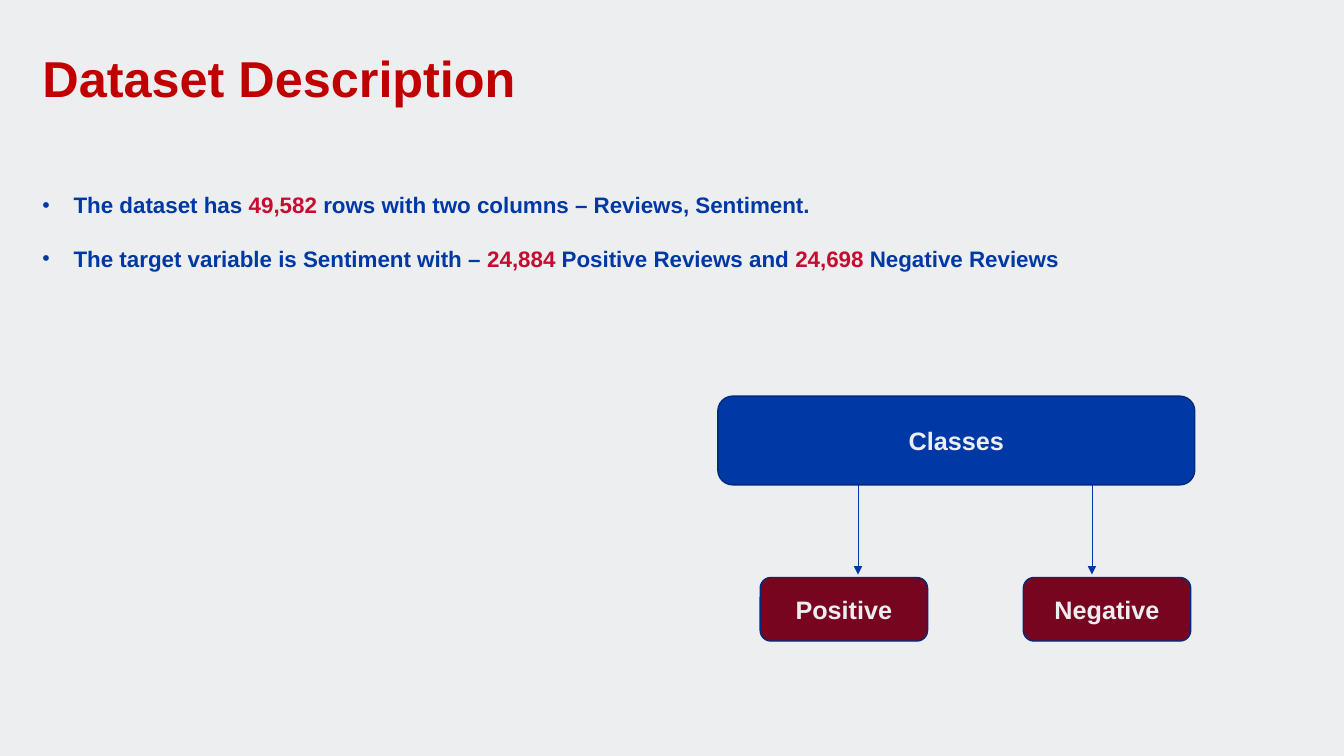
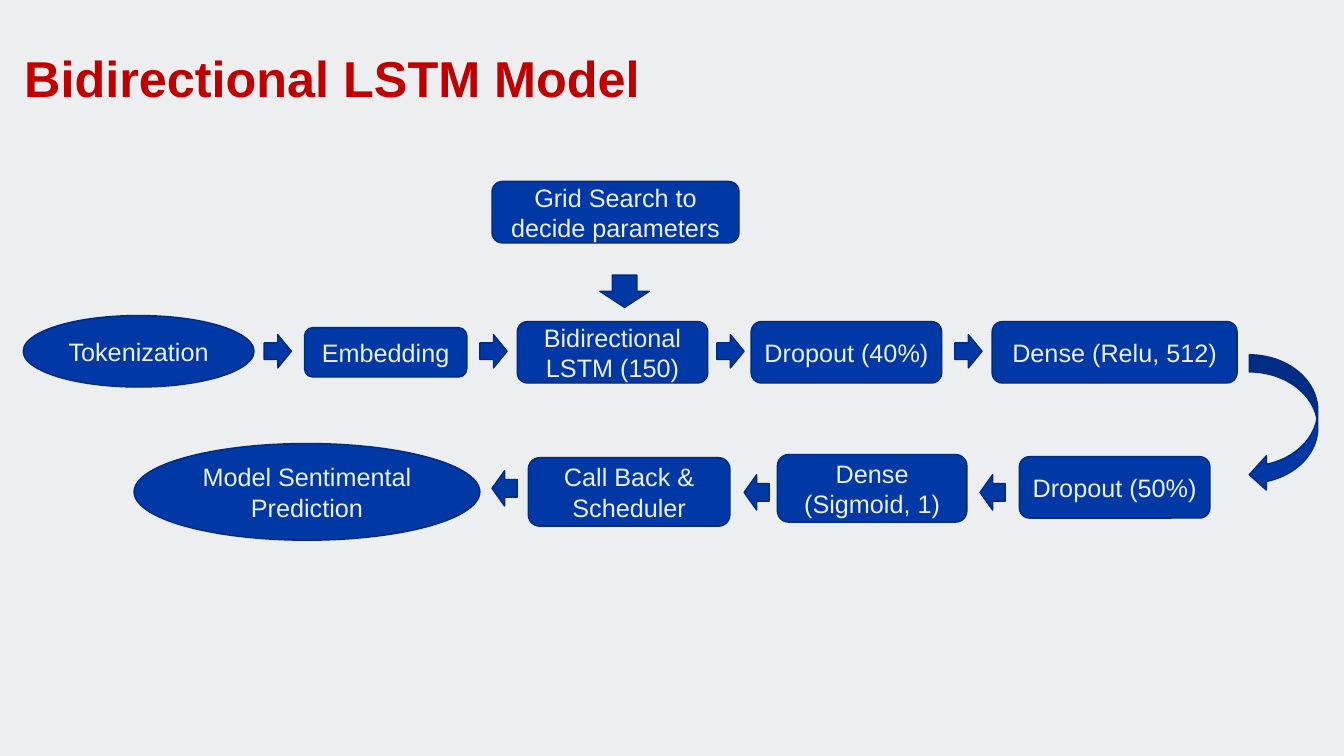
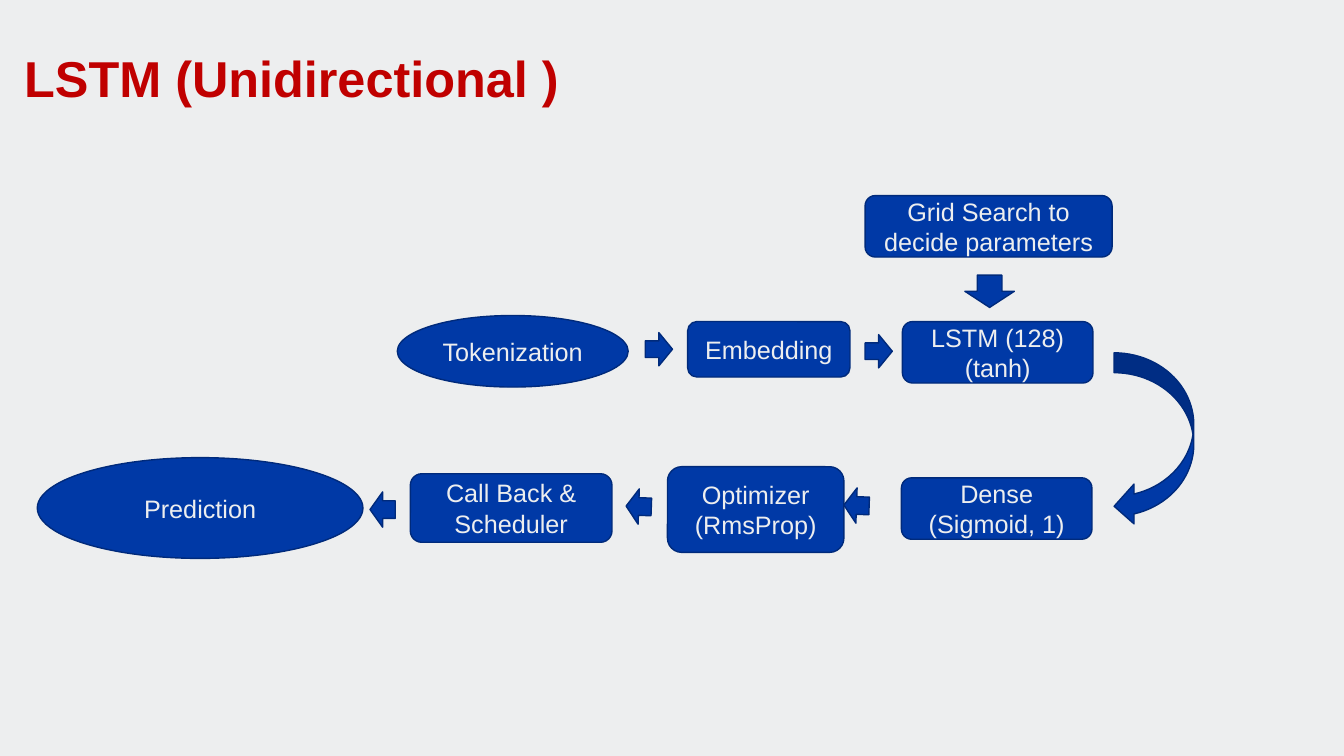
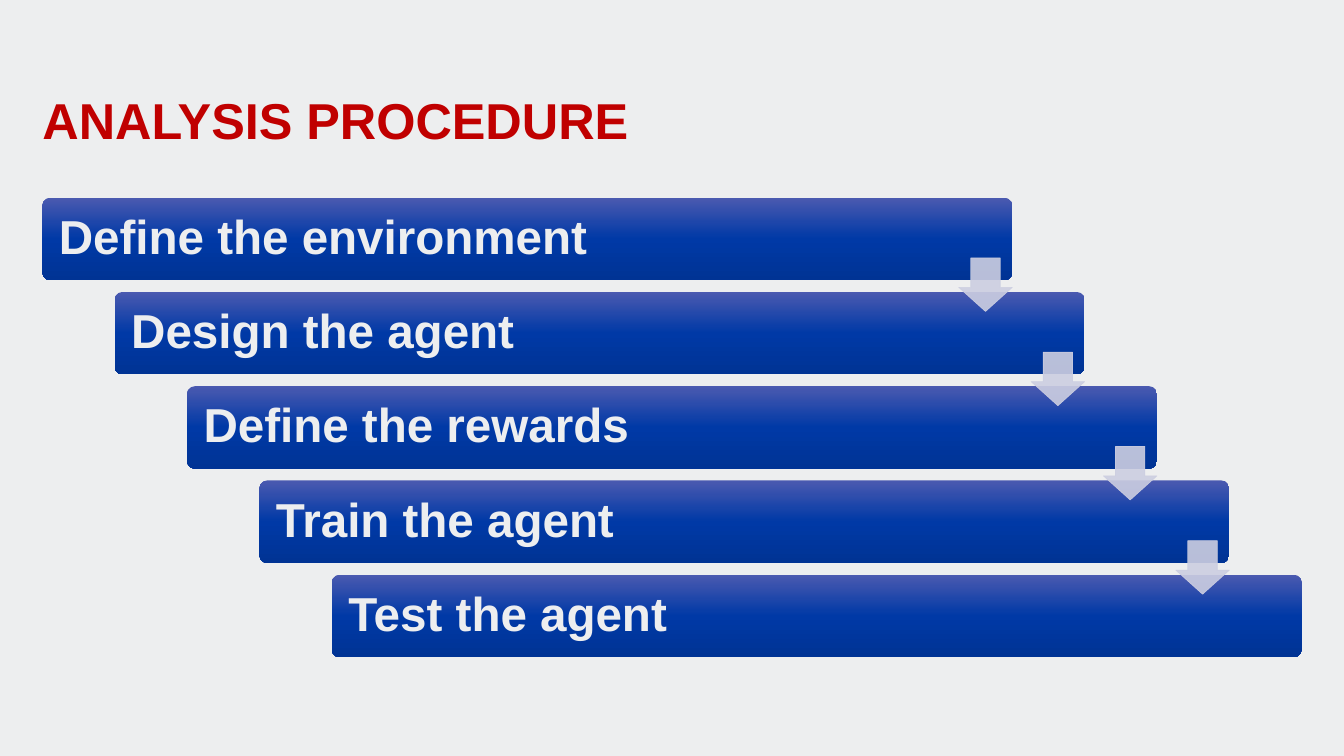
from dataclasses import dataclass
from typing import NamedTuple

from lxml.etree import SubElement
from pptx import Presentation
from pptx.dml.color import RGBColor
from pptx.enum.shapes import MSO_CONNECTOR, MSO_SHAPE as Preset
from pptx.enum.text import MSO_ANCHOR as Anchor, MSO_AUTO_SIZE as AutoSize, PP_ALIGN as Align
from pptx.oxml import parse_xml
from pptx.oxml.ns import nsdecls, qn
from pptx.util import Inches, Pt

# Shared style
FONT = "Arial"
PAPER = RGBColor(0xED, 0xEE, 0xEF)
BLUE = RGBColor(0x00, 0x39, 0xA6)
NAVY = RGBColor(0x00, 0x2A, 0x7B)
MAROON = RGBColor(0x77, 0x05, 0x20)
CRIMSON = RGBColor(0xC6, 0x0C, 0x30)
TITLE_RED = RGBColor(0xC0, 0x00, 0x00)
BAR_TOP = RGBColor(0x4B, 0x5A, 0xB0)
BAR_BOTTOM = RGBColor(0x00, 0x33, 0x94)
LILAC = RGBColor(0xCC, 0xCE, 0xE1)

TITLE_AND_BODY, TITLE_ONLY = 1, 5
ARROW_SIZE = {
    Preset.RIGHT_ARROW: (0.27, 0.33),
    Preset.LEFT_ARROW: (0.25, 0.35),
    Preset.DOWN_ARROW: (0.49, 0.32),
}


class Box(NamedTuple):
    left: float
    top: float
    width: float
    height: float


@dataclass(frozen=True)
class Step:
    text: str
    box: Box
    preset: Preset = Preset.ROUNDED_RECTANGLE
    fill: RGBColor = BLUE
    bold: bool = False


@dataclass(frozen=True)
class Arrow:
    preset: Preset
    left: float
    top: float
    rotation: float = 0


class Span(NamedTuple):
    text: str
    color: RGBColor = BLUE


def apply(target, formats: dict) -> None:
    for name, value in formats.items():
        setattr(target, name, value)


def style_font(font, size: float, color: RGBColor, bold: bool = False) -> None:
    apply(font, {"name": FONT, "size": Pt(size), "bold": bold})
    font.color.rgb = color


def place(shape, box: Box) -> None:
    apply(shape, {side: Inches(value) for side, value in box._asdict().items()})


def set_frame(frame, anchor: Anchor, side: float = 0, edge: float = 0) -> None:
    apply(frame, {
        "word_wrap": True, "auto_size": AutoSize.NONE, "vertical_anchor": anchor,
        "margin_left": Inches(side), "margin_right": Inches(side),
        "margin_top": Inches(edge), "margin_bottom": Inches(edge),
    })


def add_titled_slide(prs, layout: int, title: str, left: float = 0.24, top: float = 0.53):
    slide = prs.slides.add_slide(prs.slide_layouts[layout])
    heading = slide.shapes.title
    place(heading, Box(left, top, 12.92 - left, 0.55))
    set_frame(heading.text_frame, Anchor.BOTTOM)
    heading.text_frame.text = title
    line = heading.text_frame.paragraphs[0]
    apply(line, {"alignment": Align.LEFT, "line_spacing": 0.9})
    style_font(line.runs[0].font, 36, TITLE_RED, True)
    return slide


def add_preset(slide, preset: Preset, box: Box, fill: RGBColor = BLUE):
    shape = slide.shapes.add_shape(preset, *map(Inches, box))
    shape.shadow.inherit = False
    shape.fill.solid()
    shape.fill.fore_color.rgb = fill
    shape.line.color.rgb = NAVY
    shape.line.width = Pt(1)
    return shape


def add_step(slide, step: Step) -> None:
    shape = add_preset(slide, step.preset, step.box, step.fill)
    set_frame(shape.text_frame, Anchor.MIDDLE, 0.05, 0.05)
    shape.text_frame.text = step.text
    for line in shape.text_frame.paragraphs:
        line.alignment = Align.CENTER
        style_font(line.runs[0].font, 18, PAPER, step.bold)


def add_arrow(slide, arrow: Arrow) -> None:
    box = Box(arrow.left, arrow.top, *ARROW_SIZE[arrow.preset])
    add_preset(slide, arrow.preset, box).rotation = arrow.rotation


def add_flow(prs, title: str, steps: list[Step], arrows: list[Arrow], turn: Box) -> None:
    """A two-row flow whose rows are joined by a curved arrow on the right."""
    slide = add_titled_slide(prs, TITLE_ONLY, title)
    for arrow in arrows:
        add_arrow(slide, arrow)
    add_preset(slide, Preset.CURVED_LEFT_ARROW, turn)
    for step in steps:
        add_step(slide, step)


def add_bullet(line, spans: list[Span]) -> None:
    props = line._p.get_or_add_pPr()
    props.set("marL", str(Inches(0.31)))
    props.set("indent", str(-Inches(0.31)))
    for tag, name, value in (("a:buSzPct", "val", "95000"),
                             ("a:buFont", "typeface", FONT),
                             ("a:buChar", "char", "•")):
        SubElement(props, qn(tag)).set(name, value)
    for span in spans:
        run = line.add_run()
        run.text = span.text
        style_font(run.font, 16, span.color, True)


def add_branch(slide, x: float, top: float, bottom: float) -> None:
    branch = slide.shapes.add_connector(
        MSO_CONNECTOR.STRAIGHT, *map(Inches, (x, top, x, bottom)))
    branch.line.color.rgb = BLUE
    branch.line.width = Pt(0.5)
    SubElement(branch.line._get_or_add_ln(), qn("a:tailEnd")).set("type", "triangle")
    SubElement(branch._element.spPr, qn("a:effectLst"))


def set_gradient(shape, colors: tuple[RGBColor, ...]) -> None:
    gap = 100000 // (len(colors) - 1)
    stops = "".join(f'<a:gs pos="{i * gap}"><a:srgbClr val="{color}"/></a:gs>'
                    for i, color in enumerate(colors))
    solid = shape._element.spPr.find(qn("a:solidFill"))
    solid.getparent().replace(solid, parse_xml(
        f'<a:gradFill {nsdecls("a")} rotWithShape="1"><a:gsLst>{stops}</a:gsLst>'
        '<a:lin ang="5400000" scaled="0"/></a:gradFill>'))


def build_dataset(prs) -> None:
    slide = add_titled_slide(prs, TITLE_AND_BODY, "Dataset Description", left=0.42)
    facts = slide.placeholders[1]
    place(facts, Box(0.42, 1.9, 11.45, 1.5))
    set_frame(facts.text_frame, Anchor.TOP)
    rows, classes = facts.text_frame.paragraphs[0], facts.text_frame.add_paragraph()
    add_bullet(rows, [
        Span("The dataset has"), Span(" 49,582 ", CRIMSON),
        Span("rows with two columns – Reviews, Sentiment."),
    ])
    add_bullet(classes, [
        Span("The target variable is Sentiment with – "), Span("24,884", CRIMSON),
        Span(" Positive Reviews and "), Span("24,698", CRIMSON),
        Span(" Negative Reviews"),
    ])
    rows.space_before, classes.space_before = Pt(0), Pt(19)

    # Class tree
    for x in (8.51, 10.83):
        add_branch(slide, x, 4.81, 5.7)
    add_step(slide, Step("Classes", Box(7.12, 3.93, 4.73, 0.88), bold=True))
    for label, left in (("Positive", 7.54), ("Negative", 10.15)):
        add_step(slide, Step(label, Box(left, 5.73, 1.66, 0.63), fill=MAROON, bold=True))


def build_bidirectional(prs) -> None:
    steps = [
        Step("Grid Search to decide parameters", Box(4.88, 1.8, 2.45, 0.61)),
        Step("Tokenization", Box(0.23, 3.13, 2.29, 0.71), Preset.OVAL),
        Step("Embedding", Box(3.02, 3.25, 1.61, 0.49)),
        Step("Bidirectional LSTM (150)", Box(5.13, 3.19, 1.89, 0.61)),
        Step("Dropout (40%)", Box(7.45, 3.19, 1.89, 0.61)),
        Step("Dense (Relu, 512)", Box(9.84, 3.19, 2.43, 0.61)),
        Step("Dropout (50%)", Box(10.11, 4.53, 1.89, 0.61)),
        Step("Dense (Sigmoid, 1)", Box(7.71, 4.51, 1.88, 0.67)),
        Step("Call Back & Scheduler", Box(5.24, 4.54, 2, 0.68)),
        Step("Model Sentimental Prediction", Box(1.33, 4.4, 3.43, 0.96), Preset.OVAL),
    ]
    arrows = [Arrow(Preset.DOWN_ARROW, 5.95, 2.73)]
    arrows += [Arrow(Preset.RIGHT_ARROW, x, 3.32) for x in (2.62, 4.76, 7.11, 9.47)]
    arrows += [Arrow(Preset.LEFT_ARROW, x, y)
               for x, y in ((9.72, 4.71), (7.38, 4.71), (4.88, 4.67))]
    add_flow(prs, "Bidirectional LSTM Model", steps, arrows, Box(12.39, 3.52, 0.68, 1.36))


def build_unidirectional(prs) -> None:
    steps = [
        Step("Grid Search to decide parameters", Box(8.58, 1.94, 2.45, 0.61)),
        Step("Tokenization", Box(3.94, 3.13, 2.29, 0.71), Preset.OVAL),
        Step("Embedding", Box(6.82, 3.19, 1.61, 0.55)),
        Step("LSTM (128)\n(tanh)", Box(8.95, 3.19, 1.89, 0.61)),
        Step("Dense (Sigmoid, 1)", Box(8.94, 4.74, 1.89, 0.61)),
        Step("Optimizer (RmsProp)", Box(6.62, 4.63, 1.75, 0.85)),
        Step("Call Back & Scheduler", Box(4.07, 4.7, 2, 0.68)),
        Step("Prediction", Box(0.37, 4.54, 3.23, 1), Preset.OVAL),
    ]
    arrows = [
        Arrow(Preset.DOWN_ARROW, 9.57, 2.73),
        Arrow(Preset.RIGHT_ARROW, 6.4, 3.3),
        Arrow(Preset.RIGHT_ARROW, 8.58, 3.32),
        Arrow(Preset.LEFT_ARROW, 8.37, 4.84, 2),
        Arrow(Preset.LEFT_ARROW, 6.21, 4.85, 2),
        Arrow(Preset.LEFT_ARROW, 3.67, 4.88),
    ]
    add_flow(prs, "LSTM (Unidirectional )", steps, arrows, Box(11.05, 3.5, 0.79, 1.72))


def build_procedure(prs) -> None:
    slide = add_titled_slide(prs, TITLE_ONLY, "ANALYSIS PROCEDURE", left=0.42, top=0.94)
    stages = ("Define the environment", "Design the agent", "Define the rewards",
              "Train the agent", "Test the agent")
    first, last = Box(0.42, 1.96, 9.62, 0.82), Box(3.29, 5.7, 9.62, 0.82)
    gaps = len(stages) - 1
    corners = [(first.left + i * (last.left - first.left) / gaps,
                first.top + i * (last.top - first.top) / gaps)
               for i in range(len(stages))]

    # Staircase of bars
    for stage, (left, top) in zip(stages, corners):
        bar = add_preset(slide, Preset.ROUNDED_RECTANGLE,
                         Box(left, top, first.width, first.height))
        bar.adjustments[0] = 0.1
        bar.line.fill.background()
        set_gradient(bar, (BAR_TOP, BLUE, BAR_BOTTOM))
        set_frame(bar.text_frame, Anchor.MIDDLE, 0.14, 0.05)
        bar.text_frame.text = stage
        line = bar.text_frame.paragraphs[0]
        apply(line, {"alignment": Align.LEFT, "line_spacing": 0.9})
        style_font(line.runs[0].font, 34, PAPER, True)

    # Translucent arrows from each bar to the next
    for left, top in corners[:-1]:
        arrow = add_preset(slide, Preset.DOWN_ARROW,
                           Box(left + 9.09, top + 0.6, 0.53, 0.53), LILAC)
        arrow.adjustments[0], arrow.adjustments[1] = 0.55, 0.45
        arrow.line.color.rgb = LILAC
        arrow.line.width = Pt(0.5)
        for color in arrow._element.spPr.iter(qn("a:srgbClr")):
            SubElement(color, qn("a:alpha")).set("val", "90000")


def main() -> None:
    prs = Presentation()
    prs.slide_width, prs.slide_height = Inches(13.33), Inches(7.5)
    backdrop = prs.slide_master.background.fill
    backdrop.solid()
    backdrop.fore_color.rgb = PAPER
    for build in (build_dataset, build_bidirectional, build_unidirectional, build_procedure):
        build(prs)
    prs.save("out.pptx")


if __name__ == "__main__":
    main()
